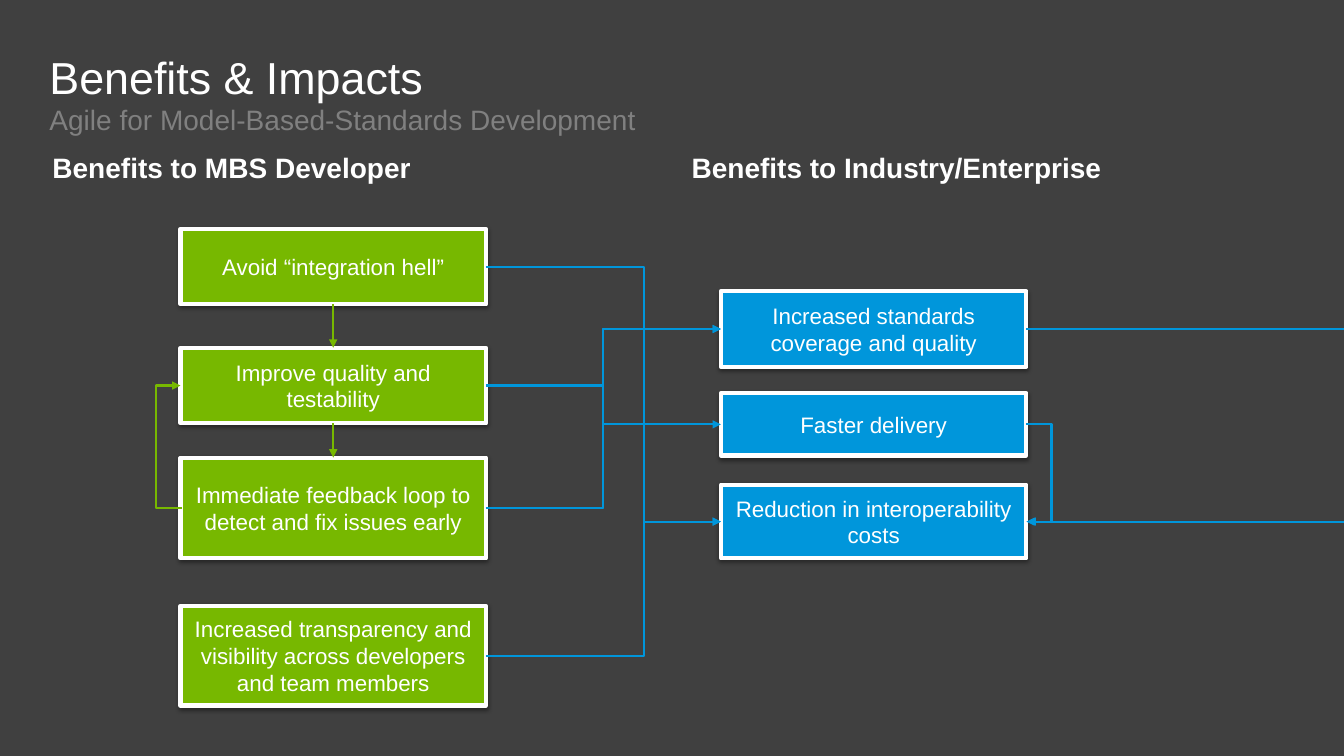
from dataclasses import dataclass
from lxml.etree import SubElement
from pptx import Presentation
from pptx.dml.color import RGBColor
from pptx.enum.shapes import MSO_CONNECTOR, MSO_SHAPE
from pptx.enum.text import MSO_ANCHOR, MSO_AUTO_SIZE, PP_ALIGN
from pptx.oxml.ns import qn
from pptx.util import Inches, Pt


@dataclass(frozen=True)
class Theme:
    font: str = "Arial"
    back: str = "404040"
    white: str = "FFFFFF"
    grey: str = "808080"
    green: str = "77B800"
    blue: str = "0096DB"
    title: int = 32
    heading: int = 20
    label: int = 16
    border: float = 3
    link: float = 1.5


T = Theme()
W, H = Inches(13.33), Inches(7.5)

# Columns, in percent of the slide width
BOX_W = 22.73
DEV_X, IND_X = 13.43, 53.64
LOOP_LANE, MID_LANE, COST_LANE, RETURN_LANE = 11.63, 44.88, 47.94, 78.24
LOOP_STEP = 0.08  # small run that lets a connector turn back on itself

# Boxes: label, top and height in percent of the slide height
DEVELOPER = {
    "avoid": ("Avoid “integration hell”", 30.27, 10),
    "improve": ("Improve quality and testability", 46, 10),
    "feedback": ("Immediate feedback loop to detect and fix issues early", 60.53, 13.33),
    "visible": ("Increased transparency and visibility across developers "
                "and team members", 80.13, 13.2),
}
INDUSTRY = {
    "coverage": ("Increased standards coverage and quality", 38.53, 10),
    "delivery": ("Faster delivery", 52, 8.27),
    "costs": ("Reduction in interoperability costs", 64.13, 9.73),
}


def px(share):
    return int(W * share / 100)


def py(share):
    return int(H * share / 100)


def rgb(color):
    return RGBColor.from_string(color)


def write(tf, text, size=T.label, color=T.white, bold=False,
          align=PP_ALIGN.LEFT, anchor=MSO_ANCHOR.TOP, spacing=None):
    tf.word_wrap = True
    tf.auto_size = MSO_AUTO_SIZE.NONE
    tf.vertical_anchor = anchor
    p = tf.paragraphs[0]
    p.alignment = align
    p.space_before = Pt(0)
    if spacing:
        p.line_spacing = spacing
    r = p.add_run()
    r.text = text
    r.font.name, r.font.size, r.font.bold = T.font, Pt(size), bold
    r.font.color.rgb = rgb(color)


def place(sp, text, x, y, w, h, top_inset=0, **fmt):
    """Move a placeholder and give it one line of plain text."""
    sp.left, sp.top, sp.width, sp.height = px(x), py(y), px(w), py(h)
    tf = sp.text_frame
    tf.margin_left = tf.margin_right = tf.margin_bottom = 0
    tf.margin_top = Inches(top_inset)
    write(tf, text, spacing=0.9, **fmt)
    pPr = tf.paragraphs[0]._p.get_or_add_pPr()
    pPr.set("marL", "0")
    pPr.set("indent", "0")
    SubElement(pPr, qn("a:buNone"))


def add_shadow(sp):
    sp.shadow.inherit = False
    effects = sp._element.spPr.find(qn("a:effectLst"))
    shadow = SubElement(effects, qn("a:outerShdw"), blurRad=str(Pt(3.1)),
                        dist=str(Pt(1.6)), dir="5400000", rotWithShape="0")
    black = SubElement(shadow, qn("a:srgbClr"), val="000000")
    SubElement(black, qn("a:alpha"), val="38000")


def add_box(s, text, x, y, h, color):
    sp = s.shapes.add_shape(MSO_SHAPE.RECTANGLE, px(x), py(y), px(BOX_W), py(h))
    sp.fill.solid()
    sp.fill.fore_color.rgb = rgb(color)
    sp.line.color.rgb = rgb(T.white)
    sp.line.width = Pt(T.border)
    add_shadow(sp)
    write(sp.text_frame, text, align=PP_ALIGN.CENTER, anchor=MSO_ANCHOR.MIDDLE)
    return sp


def left_of(sp):
    return sp.left, sp.top + sp.height // 2


def right_of(sp):
    return sp.left + sp.width, sp.top + sp.height // 2


def add_link(s, start, end, color=T.blue, lane=None, arrow=True):
    """Straight line, or an elbow that turns on the given lane."""
    kind = MSO_CONNECTOR.STRAIGHT if lane is None else MSO_CONNECTOR.ELBOW
    c = s.shapes.add_connector(kind, *start, *end)
    c.line.color.rgb = rgb(color)
    c.line.width = Pt(T.link)
    spPr = c._element.spPr
    if arrow:
        SubElement(c.line._get_or_add_ln(), qn("a:tailEnd"), type="triangle")
    SubElement(spPr, qn("a:effectLst"))
    if lane is not None:
        turn = round((px(lane) - start[0]) / (end[0] - start[0]) * 100000)
        guides = spPr.find(qn("a:prstGeom")).get_or_add_avLst()
        SubElement(guides, qn("a:gd"), name="adj1", fmla=f"val {turn}")


def add_headings(s):
    title, sub, left, right, spare = s.placeholders
    spare._element.getparent().remove(spare._element)
    place(title, "Benefits & Impacts", 3.68, 6.67, 92.8, 7.2,
          top_inset=0.05, size=T.title)
    place(sub, "Agile for Model-Based-Standards Development", 3.68, 13.33, 92.8, 4.67,
          top_inset=0.05, size=T.heading, color=T.grey)
    for sp, text, x in ((left, "Benefits to MBS Developer", 3.9),
                        (right, "Benefits to Industry/Enterprise", 51.46)):
        place(sp, text, x, 20.4, 45.4, 4, size=T.heading, bold=True)


def add_links(s, box):
    # Down the developer column, and the loop back
    for upper, lower in (("avoid", "improve"), ("improve", "feedback")):
        x = box[upper].left + box[upper].width // 2
        add_link(s, (x, box[upper].top + box[upper].height), (x, box[lower].top), T.green)
    x, y = left_of(box["feedback"])
    add_link(s, (x + px(LOOP_STEP), y), left_of(box["improve"]), T.green, LOOP_LANE)

    # Developer benefits to industry benefits
    for source, target, lane in (("feedback", "coverage", MID_LANE),
                                 ("avoid", "costs", COST_LANE),
                                 ("visible", "costs", COST_LANE),
                                 ("improve", "coverage", MID_LANE),
                                 ("feedback", "delivery", MID_LANE)):
        add_link(s, right_of(box[source]), left_of(box[target]), lane=lane)

    # Returns to the costs box, one of them by way of the slide's edge
    x, y = right_of(box["costs"])
    add_link(s, right_of(box["delivery"]), (x + px(LOOP_STEP), y), lane=RETURN_LANE)
    start = right_of(box["coverage"])
    add_link(s, start, (W, start[1]), arrow=False)
    add_link(s, (W, y), (x, y))


def main():
    prs = Presentation()
    prs.slide_width, prs.slide_height = W, H
    s = prs.slides.add_slide(prs.slide_layouts.get_by_name("Comparison"))
    s.background.fill.solid()
    s.background.fill.fore_color.rgb = rgb(T.back)

    add_headings(s)
    box = {}
    for column, x, color in ((DEVELOPER, DEV_X, T.green), (INDUSTRY, IND_X, T.blue)):
        for name, (text, y, h) in column.items():
            box[name] = add_box(s, text, x, y, h, color)
    add_links(s, box)
    prs.save("out.pptx")


if __name__ == "__main__":
    main()
